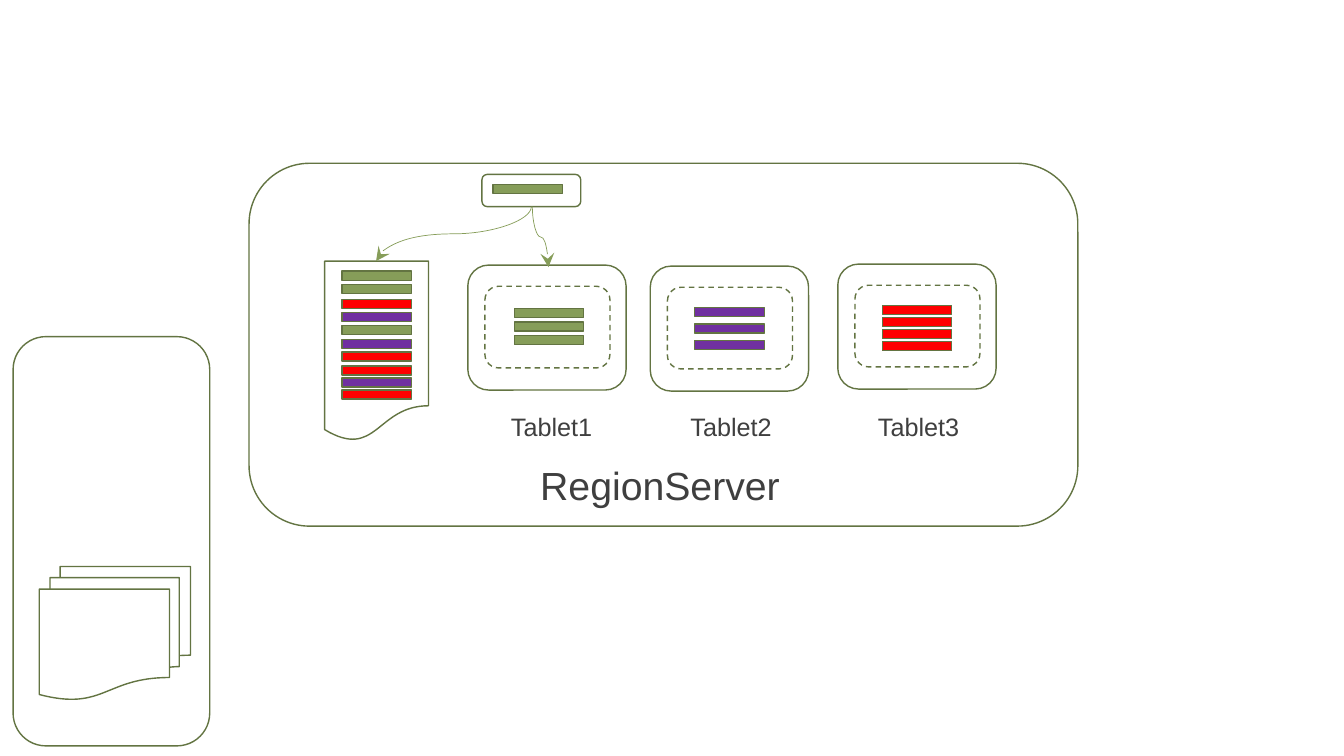
"""Build a slide showing a write reaching a RegionServer's log and tablets."""
from lxml.etree import SubElement
from pptx import Presentation
from pptx.dml.color import RGBColor
from pptx.enum.dml import MSO_LINE
from pptx.enum.shapes import MSO_CONNECTOR, MSO_SHAPE
from pptx.enum.text import MSO_AUTO_SIZE
from pptx.oxml.ns import qn
from pptx.util import Inches, Pt

GREEN, PURPLE, RED = "869D59", "7030A0", "FF0000"
WHITE, OUTLINE, TEXT = "FFFFFF", "637442", "3F3F3F"
ROUNDED = MSO_SHAPE.ROUNDED_RECTANGLE


def color(value):
    return RGBColor.from_string(value)


class Diagram:
    font = "Arial"

    def __init__(self, slide):
        self.shapes = slide.shapes

    def shape(self, kind, left, top, width, height, fill=None, dashed=False):
        s = self.shapes.add_shape(kind, Inches(left), Inches(top), Inches(width), Inches(height))
        s.shadow.inherit = False
        if fill:
            s.fill.solid()
            s.fill.fore_color.rgb = color(fill)
        else:
            s.fill.background()
        s.line.color.rgb = color(OUTLINE)
        s.line.width = Pt(1)
        if dashed:
            s.line.dash_style = MSO_LINE.DASH
        return s

    def bar(self, left, top, fill):
        return self.shape(MSO_SHAPE.RECTANGLE, left, top, 0.69, 0.09, fill)

    def text(self, words, left, top, width, height, size):
        s = self.shapes.add_textbox(Inches(left), Inches(top), Inches(width), Inches(height))
        tf = s.text_frame
        tf.word_wrap = True
        tf.auto_size = MSO_AUTO_SIZE.SHAPE_TO_FIT_TEXT
        r = tf.paragraphs[0].add_run()
        r.text = words
        r.font.name = self.font
        r.font.size = Pt(size)
        r.font.color.rgb = color(TEXT)
        return s

    def down_curve(self, x1, y1, x2, y2):
        mid_x, mid_y = (x1 + x2) / 2, (y1 + y2) / 2
        half_w, half_h = (y2 - y1) / 2, (x1 - x2) / 2
        c = self.shapes.add_connector(
            MSO_CONNECTOR.CURVE,
            Inches(mid_x - half_w), Inches(mid_y - half_h),
            Inches(mid_x + half_w), Inches(mid_y + half_h))
        c.line.color.rgb = color(GREEN)
        c.line.width = Pt(0.5)
        sp = c._element.spPr
        sp.find(qn("a:xfrm")).set("rot", "5400000")
        SubElement(sp.find(qn("a:ln")), qn("a:tailEnd"), type="stealth", w="lg", len="lg")
        SubElement(sp, qn("a:effectLst"))
        return c


def main():
    prs = Presentation()
    prs.slide_width, prs.slide_height = Inches(13.33), Inches(7.5)
    d = Diagram(prs.slides.add_slide(prs.slide_layouts[6]))

    d.shape(ROUNDED, 2.47, 1.62, 8.22, 3.6, WHITE)
    d.shape(ROUNDED, 0.13, 3.34, 1.95, 4.06, WHITE)
    d.shape(MSO_SHAPE.FLOWCHART_MULTIDOCUMENT, 0.39, 5.62, 1.5, 1.32, WHITE)

    d.shape(MSO_SHAPE.FLOWCHART_DOCUMENT, 3.22, 2.59, 1.03, 1.79, WHITE)
    log = [(2.69, GREEN), (2.82, GREEN), (2.97, RED), (3.1, PURPLE), (3.23, GREEN),
           (3.37, PURPLE), (3.49, RED), (3.63, RED), (3.75, PURPLE), (3.87, RED)]
    for top, fill in log:
        d.bar(3.39, top, fill)

    tablets = [
        ("Tablet1", 4.64, 2.63, 4.97, 1.26, GREEN, 5.1, 3.06, 0.135, 3),
        ("Tablet2", 6.45, 2.64, 6.75, 1.12, PURPLE, 6.89, 3.05, 0.165, 3),
        ("Tablet3", 8.31, 2.62, 8.61, 1.26, RED, 8.75, 3.03, 0.12, 4),
    ]
    for name, left, top, text_left, text_width, fill, bar_left, bar_top, step, count in tablets:
        d.shape(ROUNDED, left, top, 1.57, 1.24)
        d.shape(ROUNDED, left + 0.17, top + 0.21, 1.24, 0.81, WHITE, dashed=True)
        for i in range(count):
            d.bar(bar_left, bar_top + i * step, fill)
        d.text(name, text_left, 4.03, text_width, 0.4, 18)

    d.shape(ROUNDED, 4.78, 1.73, 0.98, 0.32)
    d.bar(4.89, 1.83, GREEN)
    d.down_curve(5.27, 2.05, 3.73, 2.59)
    d.down_curve(5.28, 2.05, 5.44, 2.65)
    d.text("RegionServer", 5.26, 4.53, 2.84, 0.57, 28)

    prs.save("out.pptx")


if __name__ == "__main__":
    main()
